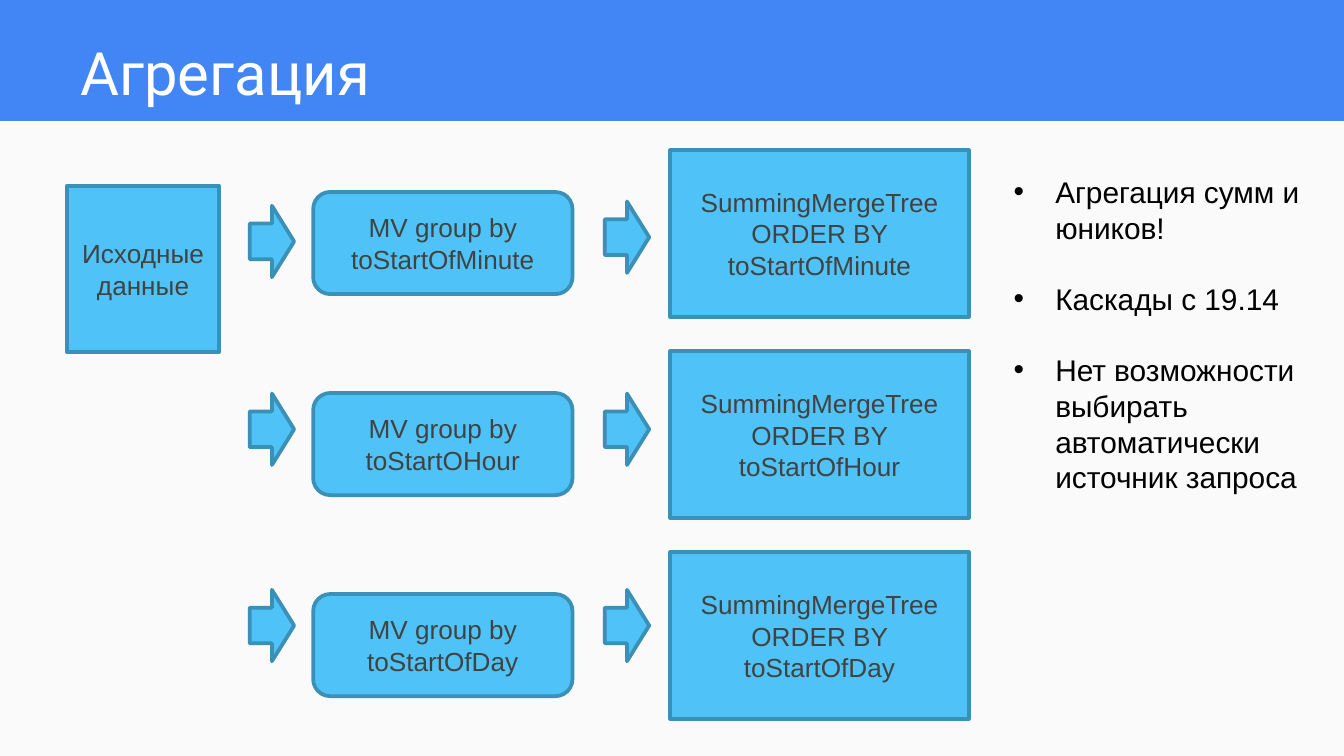
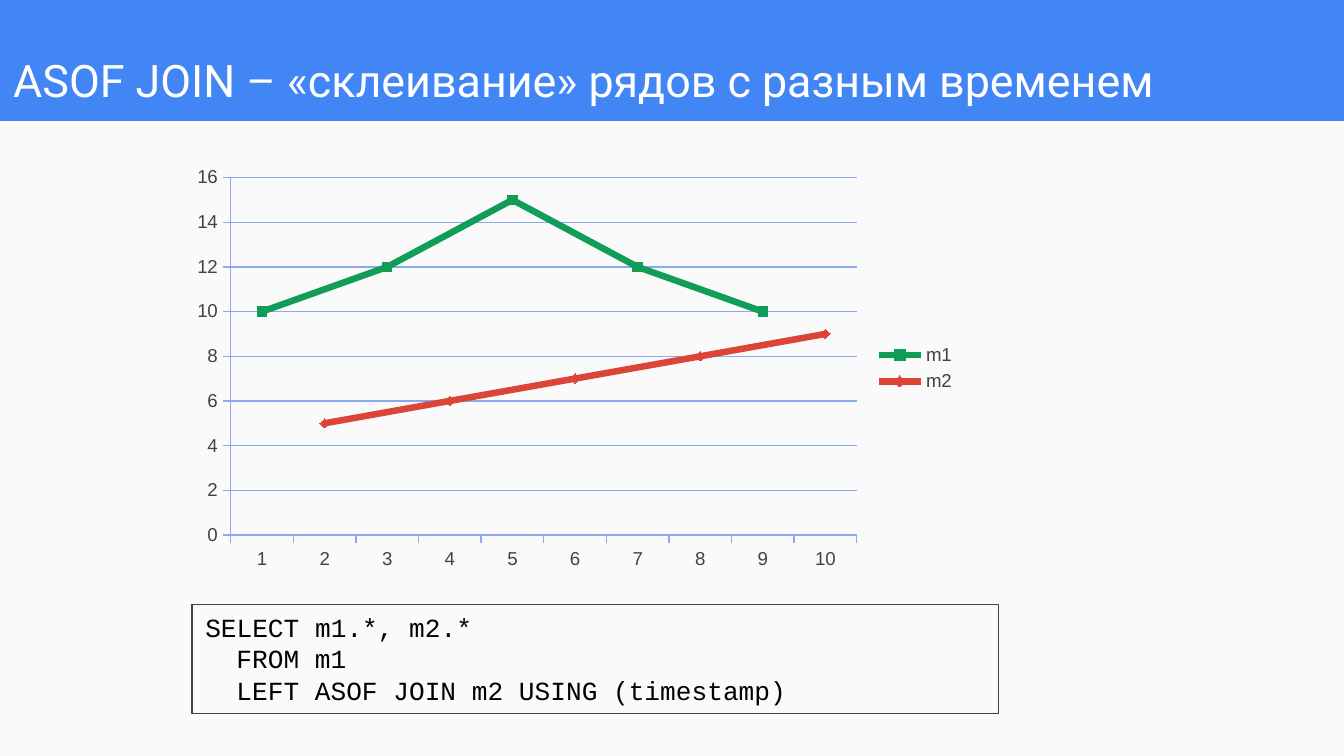
from dataclasses import dataclass

from lxml import etree
from pptx import Presentation
from pptx.chart.data import CategoryChartData
from pptx.dml.color import RGBColor
from pptx.enum import chart as charts, shapes, text
from pptx.oxml import ns
from pptx.util import Cm, Pt

COLORS = {
    "band": "4285F4",
    "panel": "FAFAFA",
    "node": "4FC3F7",
    "node_edge": "3A90B7",
    "gray": "424242",
    "black": "000000",
    "white": "FFFFFF",
    "grid": "8AA9EE",
    "m1": "0F9D58",
    "m2": "DB4437",
}
SLIDE_WIDTH, SLIDE_HEIGHT, BAND_HEIGHT = 25.4, 14.29, 2.29
ROW_TOP, ROW_STEP = 2.84, 3.8
VIEW_OFFSET = 0.79
BULLET_INDENT = 0.79
CODE_INDENT = 0.59
TITLE_LAYOUT, LIST_LAYOUT = 5, 1


@dataclass(frozen=True)
class Area:
    left: float
    top: float
    width: float
    height: float

    def lengths(self) -> tuple:
        return Cm(self.left), Cm(self.top), Cm(self.width), Cm(self.height)


@dataclass(frozen=True)
class AggregationRow:
    view_unit: str
    table_unit: str
    source_arrow_top: float
    view_arrow_top: float


@dataclass(frozen=True)
class Metric:
    name: str
    values: tuple
    marker: charts.XL_MARKER_STYLE


ROWS = (
    AggregationRow("toStartOfMinute", "toStartOfMinute", 3.89, 3.81),
    AggregationRow("toStartOHour", "toStartOfHour", 7.44, 7.44),
    AggregationRow("toStartOfDay", "toStartOfDay", 11.15, 11.15),
)
NOTES = (
    "Агрегация сумм и юников!",
    "Каскады с 19.14",
    "Нет возможности выбирать автоматически источник запроса",
)
QUERY = ("SELECT m1.*, m2.*", "FROM m1", "LEFT ASOF JOIN m2 USING (timestamp)")
METRICS = (
    Metric("m1", (10, None, 12, None, 15, None, 12, None, 10, None),
           charts.XL_MARKER_STYLE.SQUARE),
    Metric("m2", (None, 5, None, 6, None, 7, None, 8, None, 9),
           charts.XL_MARKER_STYLE.DIAMOND),
)


def rgb(name: str) -> RGBColor:
    return RGBColor.from_string(COLORS[name])


def write_text(frame, lines, *, size, font="Arial", color="black",
               align=text.PP_ALIGN.LEFT, anchor=text.MSO_ANCHOR.TOP,
               gap=0, inset=None) -> None:
    frame.word_wrap = True
    frame.auto_size = text.MSO_AUTO_SIZE.NONE
    frame.vertical_anchor = anchor
    if inset is not None:
        frame.margin_left = frame.margin_right = Cm(inset)
        frame.margin_top = frame.margin_bottom = Cm(inset)
    for number, line in enumerate(lines):
        para = frame.add_paragraph() if number else frame.paragraphs[0]
        para.alignment = align
        para.space_before = Pt(gap if number else 0)
        span = para.add_run()
        span.text = line
        span.font.size = Pt(size)
        span.font.name = font
        span.font.color.rgb = rgb(color)


def indent(para, margin: float, first_line: float = 0):
    properties = para._p.get_or_add_pPr()
    properties.set("marL", str(Cm(margin)))
    properties.set("indent", str(Cm(first_line)))
    return properties


def add_bullet(para) -> None:
    properties = indent(para, BULLET_INDENT, -BULLET_INDENT)
    bullet_color = etree.SubElement(properties, ns.qn("a:buClr"))
    etree.SubElement(bullet_color, ns.qn("a:srgbClr"), val=COLORS["black"])
    etree.SubElement(properties, ns.qn("a:buFont"), typeface="Arial")
    etree.SubElement(properties, ns.qn("a:buChar"), char="•")


def place(box, area: Area) -> None:
    box.left, box.top, box.width, box.height = area.lengths()


def add_box(page, kind, area: Area, *, fill=None, edge=None, edge_width=2):
    box = page.shapes.add_shape(kind, *area.lengths())
    box.shadow.inherit = False
    if fill:
        box.fill.solid()
        box.fill.fore_color.rgb = rgb(fill)
    else:
        box.fill.background()
    if edge:
        box.line.color.rgb = rgb(edge)
        box.line.width = Pt(edge_width)
    else:
        box.line.fill.background()
    return box


def add_node(page, kind, area: Area, label: str = "") -> None:
    box = add_box(page, kind, area, fill="node", edge="node_edge")
    if label:
        write_text(box.text_frame, [label], size=14, color="gray",
                   align=text.PP_ALIGN.CENTER, anchor=text.MSO_ANCHOR.MIDDLE)


def add_page(deck, layout: int, title: str, area: Area, size: int):
    page = deck.slides.add_slide(deck.slide_layouts[layout])
    panel = add_box(
        page, shapes.MSO_SHAPE.RECTANGLE,
        Area(0, BAND_HEIGHT, SLIDE_WIDTH, SLIDE_HEIGHT - BAND_HEIGHT), fill="panel")
    page.shapes.title._element.addprevious(panel._element)
    place(page.shapes.title, area)
    write_text(page.shapes.title.text_frame, [title], size=size, font="Roboto",
               color="white", anchor=text.MSO_ANCHOR.BOTTOM, inset=0.25)
    return page


def add_aggregation_page(deck) -> None:
    page = add_page(deck, LIST_LAYOUT, "Агрегация",
                    Area(1.27, 0, 22.83, BAND_HEIGHT), 32)
    kinds = shapes.MSO_SHAPE
    add_node(page, kinds.RECTANGLE, Area(1.27, 3.51, 2.87, 3.15), "Исходные данные")
    for number, row in enumerate(ROWS):
        top = ROW_TOP + number * ROW_STEP
        add_node(page, kinds.RECTANGLE, Area(12.67, top, 5.64, 3.15),
                 f"SummingMergeTree ORDER BY {row.table_unit}")
        add_node(page, kinds.ROUNDED_RECTANGLE,
                 Area(5.92, top + VIEW_OFFSET, 4.9, 1.93),
                 f"MV group by {row.view_unit}")
        for left, arrow_top in ((4.72, row.source_arrow_top),
                                (11.43, row.view_arrow_top)):
            add_node(page, kinds.RIGHT_ARROW, Area(left, arrow_top, 0.84, 1.35))

    notes = page.placeholders[1]
    place(notes, Area(18.9, 3.15, 5.97, 6.4))
    write_text(notes.text_frame, NOTES, size=16, gap=19)
    for para in notes.text_frame.paragraphs:
        add_bullet(para)


def add_metric_chart(page, area: Area) -> None:
    data = CategoryChartData()
    data.categories = range(1, 11)
    for metric in METRICS:
        data.add_series(metric.name, metric.values)
    chart = page.shapes.add_chart(
        charts.XL_CHART_TYPE.LINE_MARKERS, *area.lengths(), data).chart
    chart.font.size = Pt(10)
    chart.font.name = "Arial"
    chart.font.color.rgb = rgb("gray")
    chart.has_title = False
    chart.has_legend = True
    chart.legend.position = charts.XL_LEGEND_POSITION.RIGHT
    chart.legend.include_in_layout = False
    for blanks in chart.element.iter(ns.qn("c:dispBlanksAs")):
        blanks.set("val", "span")

    values = chart.value_axis
    values.minimum_scale, values.maximum_scale, values.major_unit = 0, 16, 2
    values.has_major_gridlines = True
    chart.category_axis.has_major_gridlines = False
    for axis in (values, chart.category_axis):
        axis.major_tick_mark = charts.XL_TICK_MARK.OUTSIDE
        axis.minor_tick_mark = charts.XL_TICK_MARK.NONE
    for line in (values.format.line, values.major_gridlines.format.line,
                 chart.category_axis.format.line):
        line.color.rgb = rgb("grid")
        line.width = Pt(0.75)

    plot = chart.plots[0]
    plot.vary_by_categories = False
    for metric, series in zip(METRICS, plot.series):
        series.smooth = False
        series.format.line.color.rgb = rgb(metric.name)
        series.format.line.width = Pt(3.5)
        series.marker.style = metric.marker
        series.marker.size = 5
        series.marker.format.fill.solid()
        series.marker.format.fill.fore_color.rgb = rgb(metric.name)
        series.marker.format.line.color.rgb = rgb(metric.name)


def add_join_page(deck) -> None:
    page = add_page(deck, TITLE_LAYOUT,
                    "ASOF JOIN – «склеивание» рядов c разным временем",
                    Area(0, 0, SLIDE_WIDTH, 2.26), 24)
    query = add_box(page, shapes.MSO_SHAPE.RECTANGLE, Area(3.63, 11.43, 15.24, 2.06),
                    edge="gray", edge_width=0.75)
    write_text(query.text_frame, QUERY, size=14, font="Courier New")
    for para in query.text_frame.paragraphs[1:]:
        indent(para, CODE_INDENT)
    add_metric_chart(page, Area(3.43, 3, 14.88, 7.92))


def main() -> None:
    deck = Presentation()
    deck.slide_width, deck.slide_height = Cm(SLIDE_WIDTH), Cm(SLIDE_HEIGHT)
    background = deck.slide_master.background.fill
    background.solid()
    background.fore_color.rgb = rgb("band")
    add_aggregation_page(deck)
    add_join_page(deck)
    deck.save("out.pptx")


if __name__ == "__main__":
    main()
